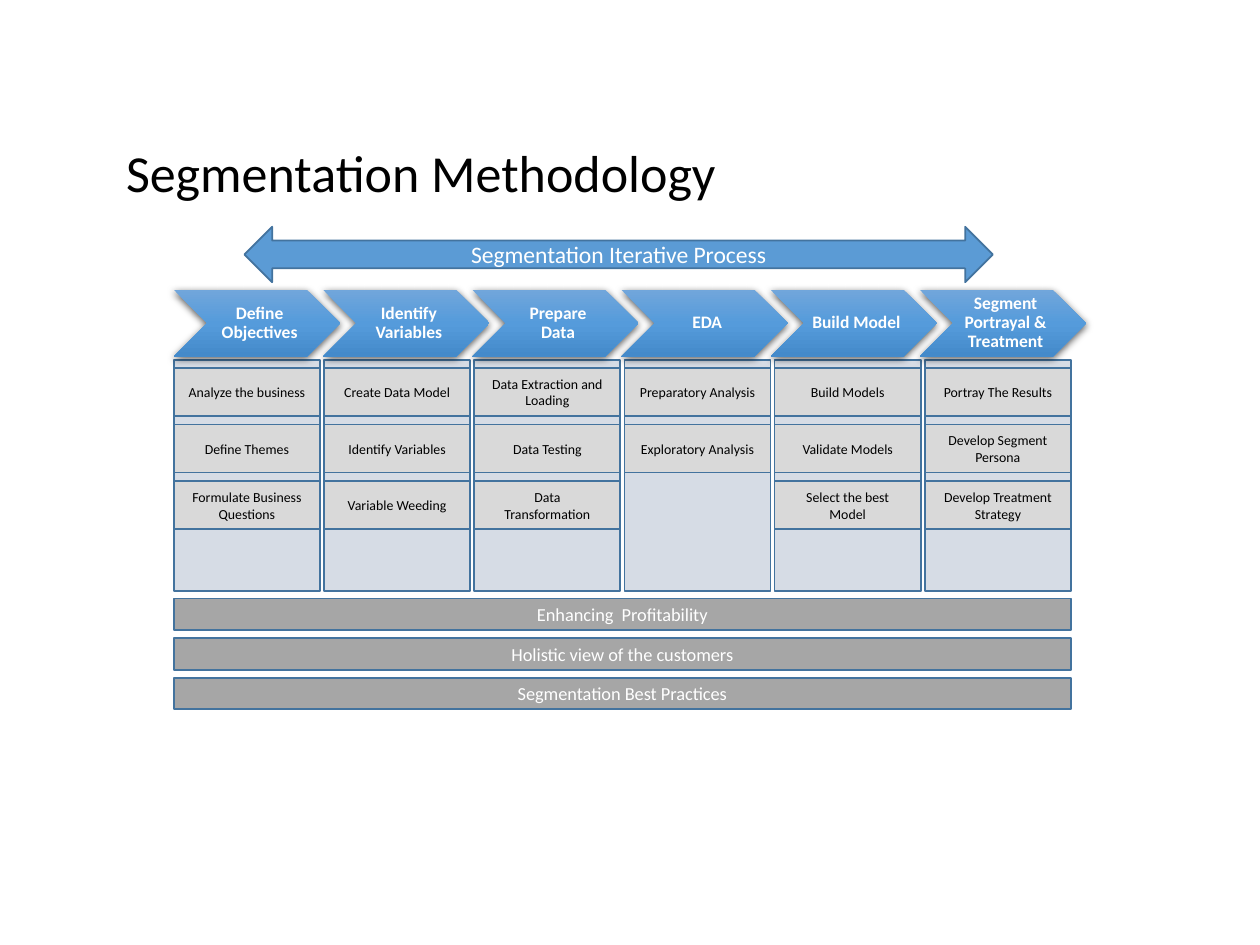
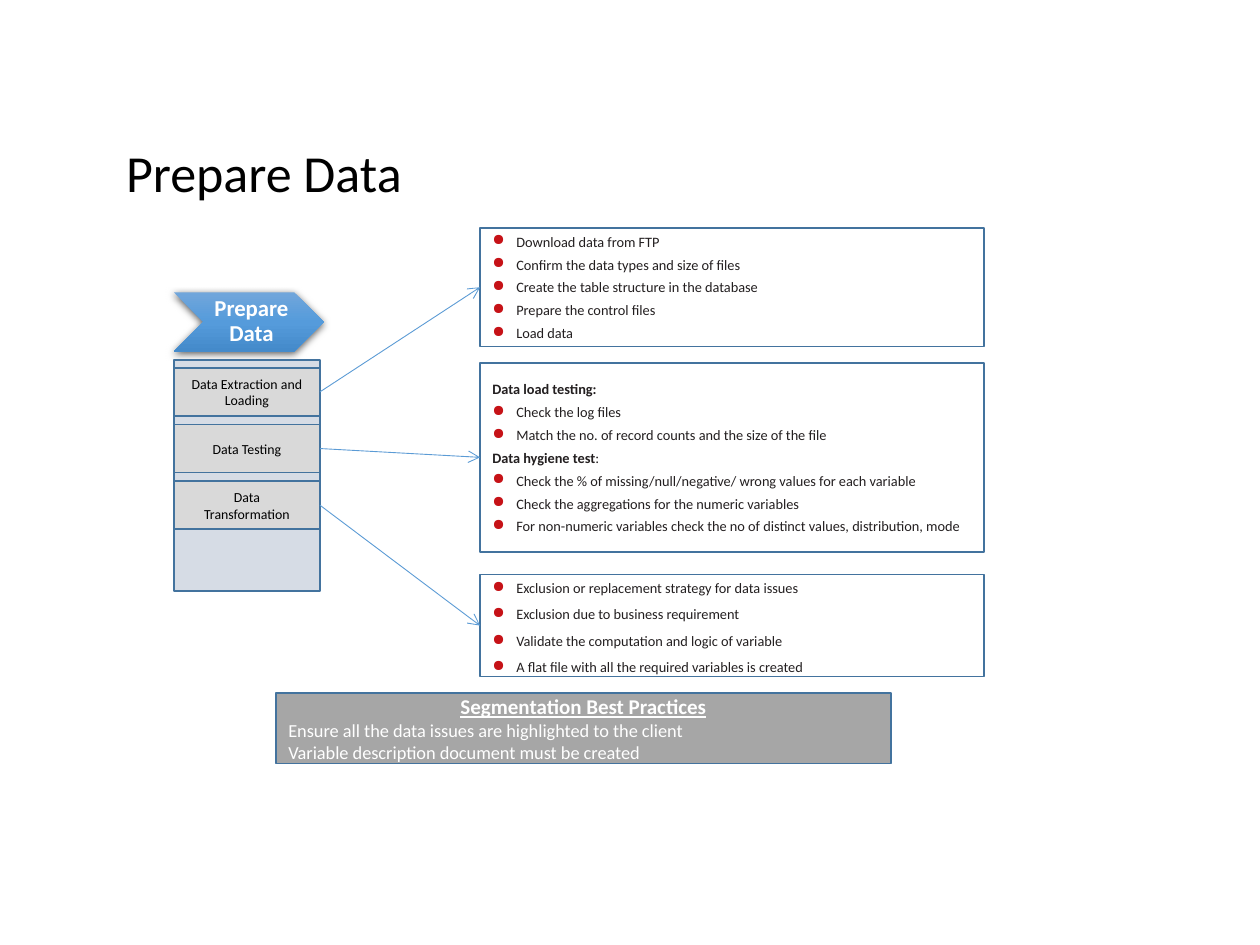
from lxml import etree
from pptx import Presentation
from pptx import util as u
from pptx.dml.color import RGBColor
from pptx.enum import shapes, text
from pptx.oxml.ns import qn

HUE = {
    "edge": "43739E", "blue": "5B9BD5", "pale": "D6DCE5", "cell": "D9D9D9",
    "bar": "A6A6A6", "white": "FFFFFF", "black": "000000",
    "ink": "231F20", "dot": "C61217",
}
GRAD = {0: "71A6DB", 50: "559BDB", 100: "448ACA"}
FONT = "Calibri"
KIND = shapes.MSO_SHAPE
LEFT, MID = text.PP_ALIGN.LEFT, text.PP_ALIGN.CENTER

HEAD = {"size": u.Pt(29.7), "hue": "black"}
CELL = {"size": u.Pt(7.9), "hue": "black"}
BAND = {"size": u.Pt(10.5), "hue": "white"}
ITEM = {"size": u.Pt(8.2), "hue": "ink"}

COL_X, COL_W, ROW_W = 1.38, 1.16, 7.12
COL_Y, COL_H = 2.86, 1.83
CELL_H, CELL_GAP = 0.38, 0.45

PREP = ["Data Extraction and Loading", "Data Testing", "Data\nTransformation"]
STEPS = {
    "Define Objectives": ["Analyze the business", "Define Themes",
                          "Formulate Business Questions"],
    "Identify Variables": ["Create Data Model", "Identify Variables",
                           "Variable Weeding"],
    "Prepare Data": PREP,
    "EDA": ["Preparatory Analysis", "Exploratory Analysis"],
    "Build Model": ["Build Models", "Validate Models", "Select the best Model"],
    "Segment Portrayal & Treatment": ["Portray The Results",
                                      "Develop Segment Persona",
                                      "Develop Treatment Strategy"],
}
BANDS = ["Enhancing  Profitability", "Holistic view of the customers",
         "Segmentation Best Practices"]

# top, height, line spacing, lines; a tuple is a heading: bold part, plain part
PANELS = [
    (1.81, 0.94, 1, [
        "Download data from FTP",
        "Confirm the data types and size of files",
        "Create the table structure in the database",
        "Prepare the control files",
        "Load data"]),
    (2.88, 1.5, 1, [
        ("Data load testing:", ""),
        "Check the log files",
        "Match the no. of record counts and the size of the file",
        ("Data hygiene test", ":"),
        "Check the % of missing/null/negative/ wrong values for each variable",
        "Check the aggregations for the numeric variables",
        "For non-numeric variables check the no of distinct values, "
        "distribution, mode"]),
    (4.56, 0.81, 1.2, [
        "Exclusion or replacement strategy for data issues",
        "Exclusion due to business requirement",
        "Validate the computation and logic of variable",
        "A flat file with all the required variables is created"]),
]


def rgb(name):
    return RGBColor.from_string(HUE[name])


def inch(*vals):
    return [u.Inches(v) for v in vals]


def spread(start, total, size, count):
    """Starts of equal parts that fill a total length."""
    step = (total - size) / (count - 1)
    return [start + i * step for i in range(count)]


def node(root, tag, **attrs):
    return etree.SubElement(root, qn("a:" + tag), attrs)


def add_run(para, words, fmt):
    run = para.add_run()
    run.text = words
    run.font.name = FONT
    for key, val in fmt.items():
        if key == "hue":
            run.font.color.rgb = rgb(val)
        else:
            setattr(run.font, key, val)


def add_para(frame, first, **fmt):
    para = frame.paragraphs[0] if first else frame.add_paragraph()
    for key, val in fmt.items():
        setattr(para, key, val)
    return para


def set_frame(frame):
    form = {"word_wrap": True, "auto_size": text.MSO_AUTO_SIZE.NONE,
            "vertical_anchor": text.MSO_ANCHOR.MIDDLE}
    for key, val in form.items():
        setattr(frame, key, val)
    return frame


def add_box(slide, box, fill=None, words="", fmt=CELL, kind=KIND.RECTANGLE):
    shape = slide.shapes.add_shape(kind, *inch(*box))
    shape.shadow.inherit = False
    if fill:
        shape.fill.solid()
        shape.fill.fore_color.rgb = rgb(fill)
    else:
        shape.fill.background()
    shape.line.color.rgb = rgb("edge")
    shape.line.width = u.Pt(1)
    frame = set_frame(shape.text_frame)
    if words:
        for i, line in enumerate(words.split("\n")):
            add_run(add_para(frame, i == 0, alignment=MID), line, fmt)
    return shape


def add_chevron(slide, box, words, size, pad):
    """Shaded chevron with its label between notch and tip."""
    x, y, w, h = box
    group = slide.shapes.add_group_shape()
    shape = group.shapes.add_shape(KIND.CHEVRON, *inch(*box))
    shape.line.fill.background()
    shape.shadow.inherit = False
    prop = shape._element.spPr
    glow = node(prop.find(qn("a:effectLst")), "outerShdw", blurRad=str(u.Pt(4.5)),
                dist=str(u.Pt(1.5)), dir="5400000", rotWithShape="0")
    node(node(glow, "srgbClr", val=HUE["black"]), "alpha", val="63000")
    grad = etree.Element(qn("a:gradFill"), rotWithShape="1")
    stops = node(grad, "gsLst")
    for pos, hue in GRAD.items():
        node(node(stops, "gs", pos=str(pos * 1000)), "srgbClr", val=hue)
    node(grad, "lin", ang="5400000", scaled="0")
    prop.find(qn("a:prstGeom")).addnext(grad)

    label = group.shapes.add_textbox(*inch(x + h / 2, y, w - h, h))
    frame = set_frame(label.text_frame)
    for side in ("top", "right", "bottom"):
        setattr(frame, "margin_" + side, u.Inches(pad))
    frame.margin_left = u.Inches(pad + 0.04)
    para = add_para(frame, True, alignment=MID, line_spacing=0.9)
    add_run(para, words, {"size": u.Pt(size), "hue": "white", "bold": True})


def add_column(slide, x, tasks):
    add_box(slide, (x, COL_Y, COL_W, COL_H), "pale")
    for i, task in enumerate(tasks):
        y = COL_Y + 0.06 + i * CELL_GAP
        add_box(slide, (x, y, COL_W, CELL_H), "cell", task)


def add_panel(slide, box, gap, lines):
    frame = add_box(slide, box).text_frame
    for i, line in enumerate(lines):
        para = add_para(frame, i == 0, alignment=LEFT, line_spacing=gap,
                        space_before=u.Pt(3.3 if i else 0))
        prop = para._p.get_or_add_pPr()
        prop.set("marL", str(u.Inches(0.19)))
        prop.set("indent", str(-u.Inches(0.19)))
        if isinstance(line, tuple):
            bold, line = line
            add_run(para, bold, ITEM | {"bold": True})
        else:
            node(node(prop, "buClr"), "srgbClr", val=HUE["dot"])
            node(prop, "buSzPct", val="110000")
            node(prop, "buChar", char="●")
        if line:
            add_run(para, line, ITEM)


def add_arrow(slide, start, end):
    link = slide.shapes.add_connector(shapes.MSO_CONNECTOR.STRAIGHT,
                                      *inch(*start, *end))
    link.line.color.rgb = rgb("blue")
    link.line.width = u.Pt(0.5)
    prop = link._element.spPr
    node(prop.find(qn("a:ln")), "tailEnd", type="arrow")
    node(prop, "effectLst")


def add_tips(slide, box):
    frame = add_box(slide, box, "bar").text_frame
    add_run(add_para(frame, True, alignment=MID), "Segmentation Best Practices",
            BAND | {"size": u.Pt(12), "bold": True, "underline": True})
    for tip in ("Ensure all the data issues are highlighted to the client",
                "Variable description document must be created"):
        add_run(add_para(frame, False, alignment=LEFT), tip, BAND)


def new_slide(deck, words):
    slide = deck.slides.add_slide(deck.slide_layouts[5])
    title = slide.shapes.title
    title.left, title.top, title.width, title.height = inch(0.9, 1.17, 8.25, 0.44)
    frame = set_frame(title.text_frame)
    add_run(add_para(frame, True, alignment=LEFT, line_spacing=0.9), words, HEAD)
    return slide


def make_method(deck):
    slide = new_slide(deck, "Segmentation Methodology")
    add_box(slide, (1.94, 1.8, 5.94, 0.44), "blue",
            "Segmentation Iterative Process",
            {"size": u.Pt(13.5), "hue": "white"}, KIND.LEFT_RIGHT_ARROW)
    count = len(STEPS)
    tips = spread(COL_X, 7.24, 1.32, count)
    cols = spread(COL_X, ROW_W, COL_W, count)
    for (step, tasks), tip, col in zip(STEPS.items(), tips, cols):
        add_column(slide, col, tasks)
        add_chevron(slide, (tip, 2.3, 1.32, 0.53), step, 10, 0.01)
    for y, band in zip(spread(4.75, 0.88, 0.25, len(BANDS)), BANDS):
        add_box(slide, (COL_X, y, ROW_W, 0.25), "bar", band, BAND)


def make_prep(deck):
    slide = new_slide(deck, "Prepare Data")
    add_chevron(slide, (COL_X, 2.32, 1.19, 0.47), "Prepare Data", 13, 0.02)
    add_column(slide, COL_X, PREP)
    x = 3.81
    for i, (y, h, gap, lines) in enumerate(PANELS):
        add_panel(slide, (x, y, 4, h), gap, lines)
        mid = COL_Y + 0.06 + i * CELL_GAP + CELL_H / 2
        add_arrow(slide, (COL_X + COL_W, mid), (x, y + h / 2))
    add_tips(slide, (2.19, 5.5, 4.88, 0.56))


def main():
    deck = Presentation()
    deck.slide_width, deck.slide_height = inch(10, 7.5)
    make_method(deck)
    make_prep(deck)
    deck.save("out.pptx")


if __name__ == "__main__":
    main()
